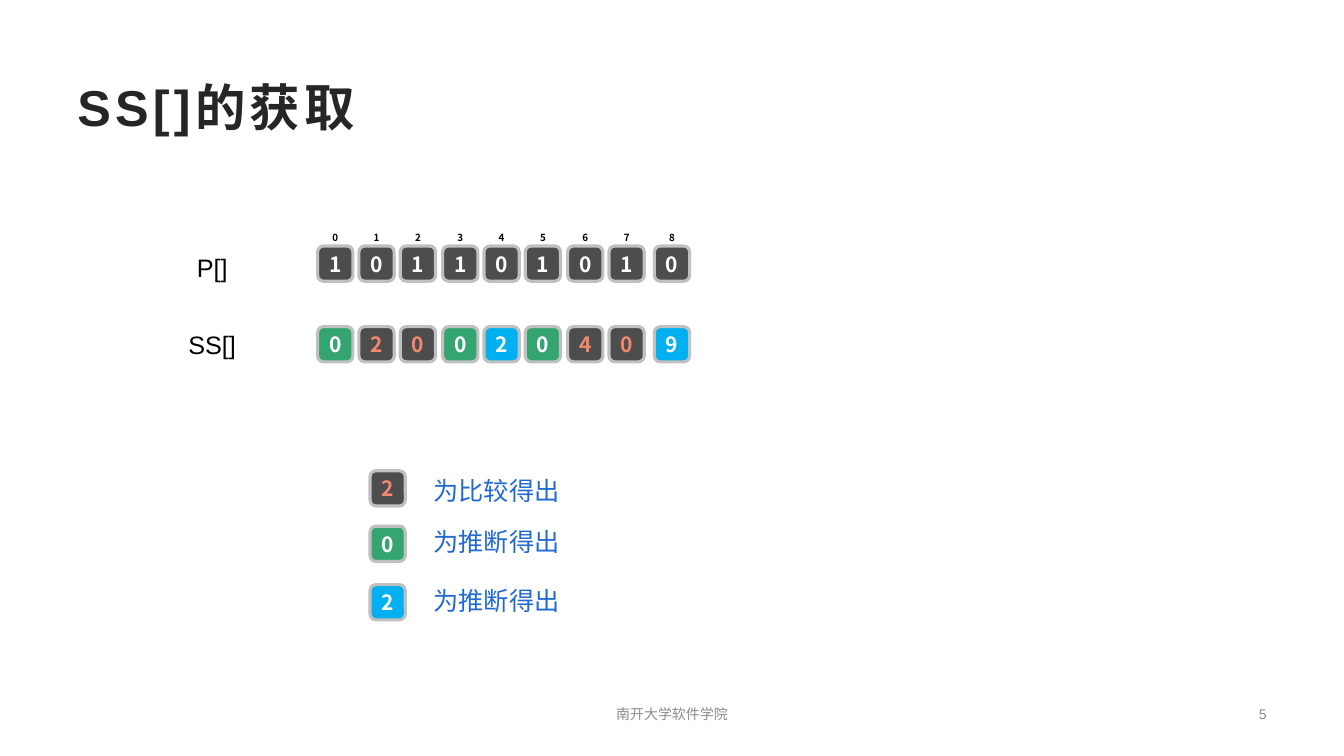
from pptx import Presentation
from pptx.dml.color import RGBColor
from pptx.enum.shapes import MSO_SHAPE
from pptx.enum.text import MSO_ANCHOR, PP_ALIGN
from pptx.oxml.ns import qn
from pptx.util import Pt
from lxml import etree

PX = 9144  # 100 px to the inch
ROUNDED = MSO_SHAPE.ROUNDED_RECTANGLE
TOP, MIDDLE = MSO_ANCHOR.TOP, MSO_ANCHOR.MIDDLE
LEFT, CENTER, RIGHT = PP_ALIGN.LEFT, PP_ALIGN.CENTER, PP_ALIGN.RIGHT

LATIN, CJK = "Arial", "Noto Sans CJK SC"
WHITE = RGBColor(0xFF, 0xFF, 0xFF)
BLACK = RGBColor(0x00, 0x00, 0x00)
INK = RGBColor(0x26, 0x26, 0x26)
GRAY = RGBColor(0x8C, 0x8C, 0x8C)
BORDER = RGBColor(0xC0, 0xC0, 0xC0)
DARK = RGBColor(0x4D, 0x4D, 0x4D)
GREEN = RGBColor(0x34, 0xA4, 0x71)
SKY = RGBColor(0x00, 0xB0, 0xF0)
SALMON = RGBColor(0xF1, 0x88, 0x70)
BLUE = RGBColor(0x21, 0x69, 0xD3)

CELL = 35
# Cell kinds: fill and digit colour
GIVEN = (DARK, WHITE)
COMPARED = (DARK, SALMON)
INFERRED = (GREEN, WHITE)
DERIVED = (SKY, WHITE)

P_VALUES = [(digit, GIVEN) for digit in "101101010"]
SS_VALUES = list(zip("020020409", [
    INFERRED, COMPARED, COMPARED, INFERRED, DERIVED,
    INFERRED, COMPARED, COMPARED, DERIVED]))


def scaled(*lengths):
    return [length * PX for length in lengths]


def write(frame, text, color, size, align=LEFT, anchor=TOP, name=LATIN,
          bold=False, spacing=None, inset=True):
    frame.word_wrap = inset
    frame.vertical_anchor = anchor
    if not inset:
        for side in ("left", "top", "right", "bottom"):
            setattr(frame, f"margin_{side}", 0)
    paragraph = frame.paragraphs[0]
    paragraph.alignment = align
    run = paragraph.add_run()
    run.text = text
    for key, value in {"name": name, "size": Pt(size), "bold": bold}.items():
        setattr(run.font, key, value)
    run.font.color.rgb = color
    properties = run._r.get_or_add_rPr()
    etree.SubElement(properties, qn("a:ea")).set("typeface", CJK)
    if spacing:
        properties.set("spc", str(spacing * 100))


def add_label(slide, box, text, color, size, **style):
    label = slide.shapes.add_textbox(*scaled(*box))
    write(label.text_frame, text, color, size, **style)


def add_cell(slide, left, top, digit, kind):
    fill, color = kind
    cell = slide.shapes.add_shape(ROUNDED, *scaled(left, top, CELL, CELL))
    cell.shadow.inherit = False
    cell.fill.solid()
    cell.fill.fore_color.rgb = fill
    cell.line.color.rgb = BORDER
    cell.line.width = Pt(2.25)
    write(cell.text_frame, digit, color, 15, align=CENTER, anchor=MIDDLE,
          name=CJK, bold=True, inset=False)


def column_left(left, index):
    """Eight evenly spaced columns, then a ninth set slightly apart."""
    return left + index * 124 // 3 + (4 if index == 8 else 0)


def add_indices(slide, left, top):
    for index in range(9):
        add_label(slide, (column_left(left, index), top, CELL, CELL),
                  str(index), BLACK, 7, align=CENTER, anchor=MIDDLE,
                  name=CJK, bold=True, inset=False)


def add_array(slide, left, top, name, name_top, values):
    add_label(slide, (left - 176, name_top, 143, 40), name, BLACK, 18,
              align=CENTER)
    for index, (digit, kind) in enumerate(values):
        add_cell(slide, column_left(left, index), top, digit, kind)


def add_legend(slide, left, top):
    entries = [("2", COMPARED, "为比较得出", 0, 0),
               ("0", INFERRED, "为推断得出", 55, 50),
               ("2", DERIVED, "为推断得出", 113, 109)]
    for digit, kind, meaning, cell_drop, text_drop in entries:
        add_cell(slide, left, top + cell_drop, digit, kind)
        add_label(slide, (left + 53, top + text_drop, 321, 40),
                  meaning, BLUE, 18)


def add_footer(slide, top):
    add_label(slide, (450, top, 433, 35), "南开大学软件学院", GRAY, 10,
              align=CENTER, anchor=MIDDLE)
    add_label(slide, (971, top, 295, 35), "5", GRAY, 10,
              align=RIGHT, anchor=MIDDLE)


def main():
    deck = Presentation()
    deck.slide_width, deck.slide_height = scaled(1333, 750)
    slide = deck.slides.add_slide(deck.slide_layouts[6])
    add_label(slide, (67, 67, 1200, 77), "SS[]的获取", INK, 36,
              anchor=MIDDLE, bold=True, spacing=3)
    add_indices(slide, 315, 218)
    add_array(slide, 315, 244, "P[]", 245, P_VALUES)
    add_array(slide, 315, 324, "SS[]", 322, SS_VALUES)
    add_legend(slide, 367, 467)
    add_footer(slide, 691)
    deck.save("out.pptx")


if __name__ == "__main__":
    main()
